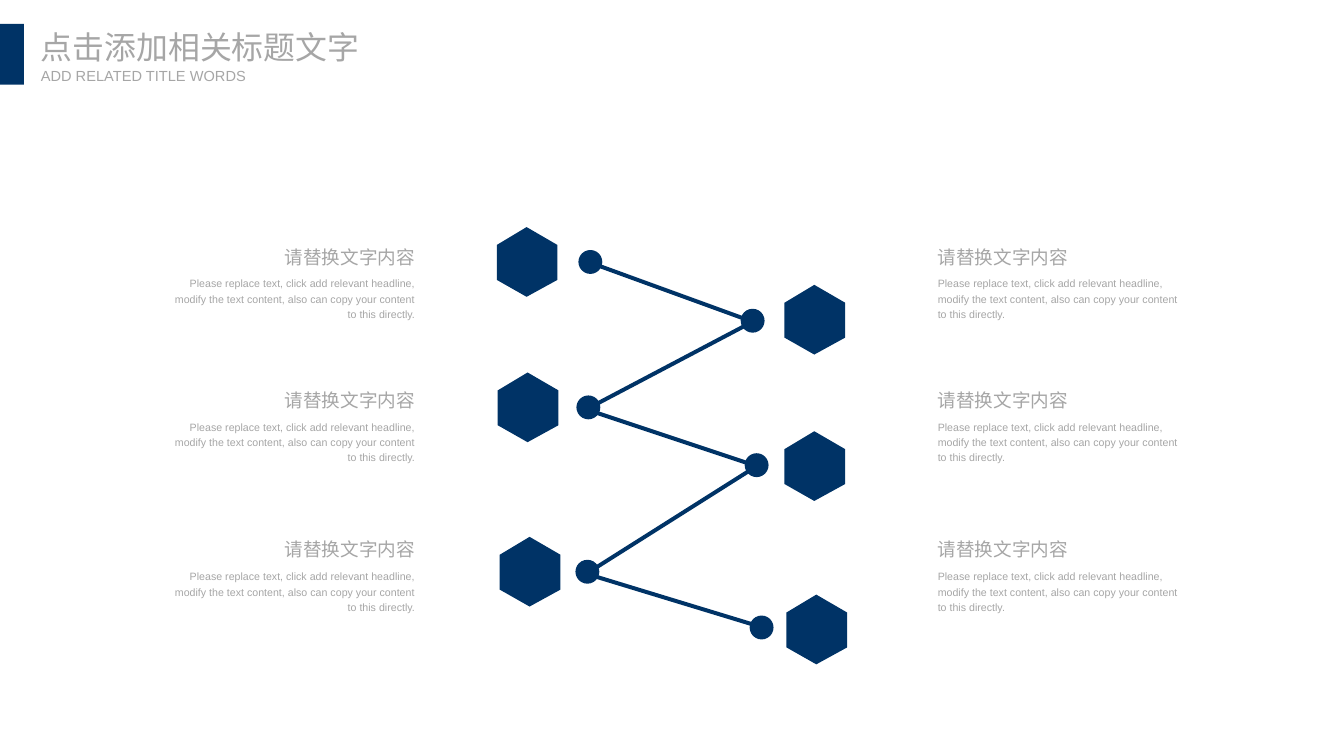
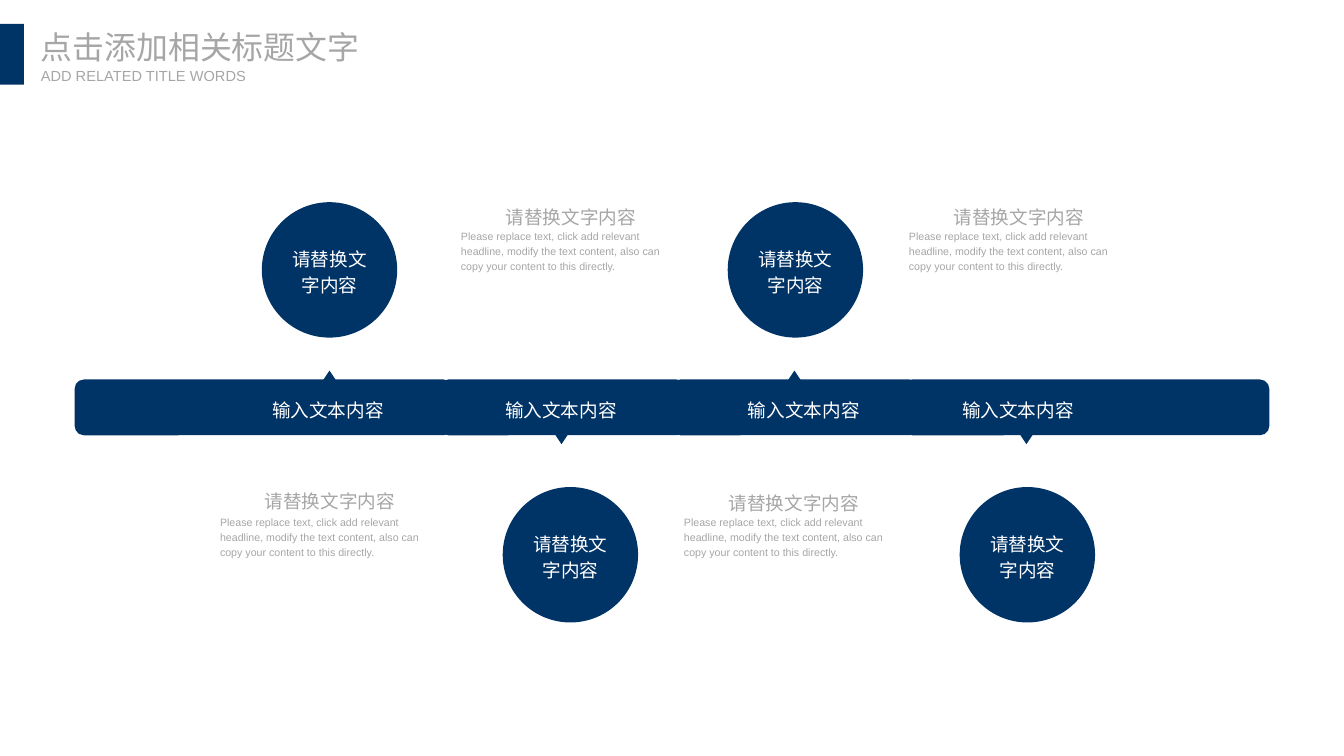
from itertools import pairwise
from pptx import Presentation
from pptx.dml.color import RGBColor as RGB
from pptx.enum.shapes import MSO_CONNECTOR as LINE, MSO_SHAPE as SHAPE
from pptx.enum.text import MSO_ANCHOR as ANCHOR, PP_ALIGN as ALIGN
from pptx.oxml.ns import qn
from pptx.util import Pt
from lxml.etree import SubElement

PX = 9525
COLORS = {"navy": "003366", "gray": "A6A6A6", "white": "FFFFFF"}
HEAD = "请替换文字内容"
LABEL = "输入文本内容"
BODY = ("Please replace text, click add relevant headline, modify the text "
        "content, also can copy your content to this directly.")


def paint(shape):
    shape.shadow.inherit = False
    shape.fill.solid()
    shape.fill.fore_color.rgb = RGB.from_string(COLORS["navy"])
    shape.line.fill.background()
    return shape


def write(shape, text, size, color="gray", align=ALIGN.LEFT, space=1.2,
          font="Arial", pad=0):
    frame = shape.text_frame
    frame.word_wrap = True
    frame.margin_left = frame.margin_right = 2 * pad * PX
    frame.margin_top = frame.margin_bottom = pad * PX
    para = frame.paragraphs[0]
    para.text = text
    para.alignment = align
    para.line_spacing = space
    para.font.size = Pt(size)
    para.font.name = font
    para.font.color.rgb = RGB.from_string(COLORS[color])


deck = Presentation()
deck.slide_width, deck.slide_height = 1350 * PX, 759 * PX
slides = [deck.slides.add_slide(deck.slide_layouts[6]) for _ in range(2)]
for slide in slides:
    shapes = slide.shapes
    paint(shapes.add_shape(SHAPE.RECTANGLE, 0, 24 * PX, 24 * PX, 61 * PX))
    title = shapes.add_textbox(41 * PX, 28 * PX, 324 * PX, 39 * PX)
    write(title, "点击添加相关标题文字", 24, space=1.0, font="Noto Sans CJK SC")
    sub = shapes.add_textbox(41 * PX, 67 * PX, 209 * PX, 18 * PX)
    write(sub, "ADD RELATED TITLE WORDS", 11, space=1.0)

zigzag, band = [slide.shapes for slide in slides]

hexes = [(499, 228), (788, 286), (500, 374), (788, 433), (502, 539), (790, 597)]
for x, y in hexes:
    pen = zigzag.build_freeform(x + 30, y, scale=PX)
    pen.add_line_segments([(x + 61, y + 18), (x + 61, y + 53), (x + 30, y + 70),
                           (x, y + 53), (x, y + 18)])
    paint(pen.convert_to_shape())

bends = [(591, 263), (756, 323), (589, 411), (760, 468), (589, 576), (763, 629)]
for (x1, y1), (x2, y2) in pairwise(bends):
    link = zigzag.add_connector(LINE.STRAIGHT, x1 * PX, y1 * PX, x2 * PX, y2 * PX)
    link.line.color.rgb = RGB.from_string(COLORS["navy"])
    link.line.width = Pt(3)
    SubElement(link.element.spPr, qn("a:effectLst"))

dots = [(581, 251), (744, 310), (579, 397), (748, 455), (578, 562), (753, 618)]
for x, y in dots:
    paint(zigzag.add_shape(SHAPE.OVAL, x * PX, y * PX, 24 * PX, 24 * PX))

for x, align in [(156, ALIGN.RIGHT), (932, ALIGN.LEFT)]:
    for y in [237, 381, 531]:
        head = zigzag.add_textbox(x * PX, y * PX, 271 * PX, 35 * PX)
        write(head, HEAD, 14, align=align, pad=5)
        body = zigzag.add_textbox(x * PX, (y + 34) * PX, 271 * PX, 57 * PX)
        write(body, BODY, 8, align=align, pad=5)

columns = [
    (75, 380, 323, 263, 253, 221, 487),
    (441, 248, 556, 505, 487, 463, 202),
    (674, 249, 790, 731, 731, 687, 489),
    (907, 368, 1023, 964, 946, 913, 202),
]
for i, (bar, wide, tip, disc, label, note, top) in enumerate(columns):
    down = i % 2
    paint(band.add_shape(SHAPE.ROUNDED_RECTANGLE, bar * PX, 381 * PX,
                         wide * PX, 56 * PX))
    mark = paint(band.add_shape(SHAPE.ISOSCELES_TRIANGLE, tip * PX,
                                (434 if down else 372) * PX, 16 * PX, 12 * PX))
    mark.rotation = 180 * down
    ball = paint(band.add_shape(SHAPE.OVAL, disc * PX,
                                (489 if down else 203) * PX, 136 * PX, 136 * PX))
    write(ball, HEAD, 14, "white", ALIGN.CENTER, pad=4)
    ball.text_frame.vertical_anchor = ANCHOR.MIDDLE
    name = band.add_textbox(label * PX, 396 * PX, 153 * PX, 24 * PX)
    write(name, LABEL, 14, "white", ALIGN.CENTER)
    head = band.add_textbox((note + 34) * PX, top * PX, 153 * PX, 24 * PX)
    write(head, HEAD, 14, align=ALIGN.CENTER)
    body = band.add_textbox(note * PX, (228 if down else 515) * PX,
                            221 * PX, 45 * PX)
    write(body, BODY, 8)

deck.save("out.pptx")
